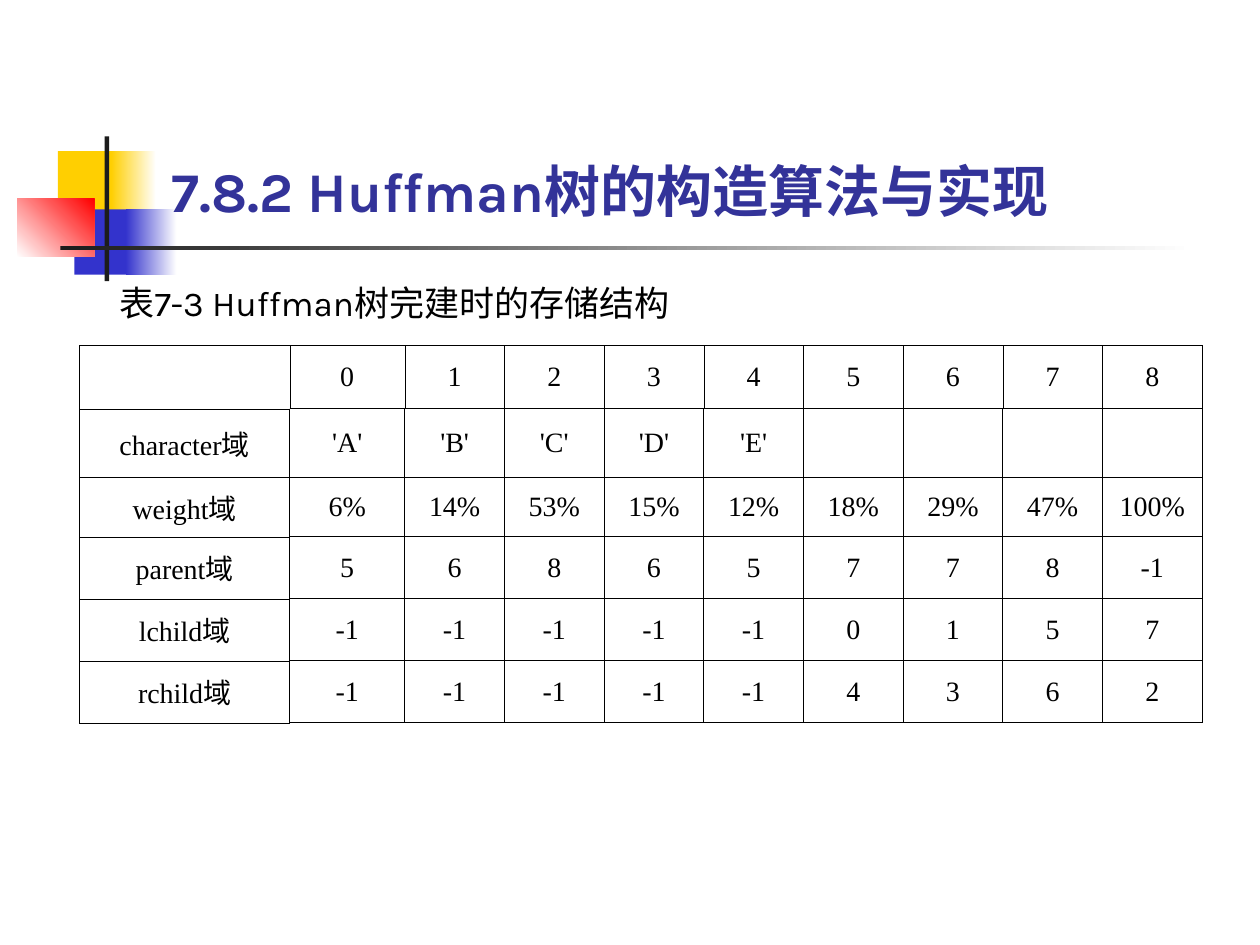
from dataclasses import dataclass
from typing import Optional

from lxml import etree
from pptx import Presentation
from pptx.dml.color import RGBColor
from pptx.enum import shapes, text
from pptx.oxml import ns
from pptx.util import Cm, Pt


@dataclass(frozen=True)
class Theme:
    yellow: str = "FFCF01"
    blue: str = "3333CC"
    red: str = "FF0000"
    dark: str = "1C1C1C"
    white: str = "FFFFFF"
    title: str = "333399"
    ink: str = "000000"
    heading_font: str = "Karla"
    table_font: str = "Times New Roman"
    title_size: int = 32
    caption_size: int = 20
    table_size: int = 16
    grid_line: float = 0.45
    label_line: float = 0.23


THEME = Theme()


@dataclass(frozen=True)
class Block:
    """A coloured rectangle, lengths in cm; end_color makes it a gradient."""
    left: float
    top: float
    width: float
    height: float
    color: str
    end_color: Optional[str] = None
    angle: float = 0


BLOCKS = [
    Block(1.17, 3.05, 1.22, 1.32, THEME.yellow),
    Block(2.24, 3.05, 0.91, 1.32, THEME.yellow, THEME.white),
    Block(1.5, 4.22, 1.17, 1.32, THEME.blue),
    Block(2.54, 4.22, 1.02, 1.32, THEME.blue, THEME.white),
    Block(0.35, 4.01, 1.55, 1.17, THEME.white, THEME.red, 45),
    Block(2.11, 2.75, 0.09, 2.92, THEME.dark),
    Block(1.22, 4.95, 22.86, 0.09, THEME.dark, THEME.white),
]

COLUMN_WIDTHS = [4.24, 2.32] + [2.01] * 8
ROW_HEIGHTS = [1.28, 1.39, 1.19] + [1.25] * 3
ROWS = [
    ["", *map(str, range(9))],
    ["character域", "'A'", "'B'", "'C'", "'D'", "'E'", "", "", "", ""],
    ["weight域", "6%", "14%", "53%", "15%", "12%", "18%", "29%", "47%", "100%"],
    ["parent域", "5", "6", "8", "6", "5", "7", "7", "8", "-1"],
    ["lchild域", "-1", "-1", "-1", "-1", "-1", "0", "1", "5", "7"],
    ["rchild域", "-1", "-1", "-1", "-1", "-1", "4", "3", "6", "2"],
]


def add_block(slide, block: Block) -> None:
    shape = slide.shapes.add_shape(
        shapes.MSO_SHAPE.RECTANGLE,
        Cm(block.left), Cm(block.top), Cm(block.width), Cm(block.height))
    shape.shadow.inherit = False
    shape.line.fill.background()
    if block.end_color is None:
        shape.fill.solid()
        shape.fill.fore_color.rgb = RGBColor.from_string(block.color)
        return
    shape.fill.gradient()
    shape.fill.gradient_angle = block.angle
    for stop, color in zip(shape.fill.gradient_stops, (block.color, block.end_color)):
        stop.color.rgb = RGBColor.from_string(color)


def add_run(paragraph, words: str, font: str, size: int, color: str,
            bold: bool = False) -> None:
    run = paragraph.add_run()
    run.text = words
    run.font.name = font
    run.font.size = Pt(size)
    run.font.bold = bold
    run.font.color.rgb = RGBColor.from_string(color)


def set_borders(cell, widths: dict[str, float]) -> None:
    properties = cell._tc.get_or_add_tcPr()
    for index, (side, width) in enumerate(widths.items()):
        line = etree.Element(ns.qn(f"a:ln{side}"), w=str(Pt(width)))
        fill = etree.SubElement(line, ns.qn("a:solidFill"))
        etree.SubElement(fill, ns.qn("a:srgbClr"), val=THEME.ink)
        properties.insert(index, line)


def border_widths(row: int, column: int) -> dict[str, float]:
    """Header and label cells are thin, except where they meet the values."""
    label = row == 0 or column == 0
    widths = dict.fromkeys("LRTB", THEME.label_line if label else THEME.grid_line)
    if row == 0 and column > 0:
        widths["B"] = THEME.grid_line
    if column == 0 and row > 0:
        widths["R"] = THEME.grid_line
    return widths


def add_storage_table(slide) -> None:
    table = slide.shapes.add_table(
        len(ROWS), len(COLUMN_WIDTHS), Cm(1.6), Cm(6.96),
        Cm(sum(COLUMN_WIDTHS)), Cm(sum(ROW_HEIGHTS))).table
    table.first_row = table.horz_banding = False
    for column, width in zip(table.columns, COLUMN_WIDTHS):
        column.width = Cm(width)
    for row, height in zip(table.rows, ROW_HEIGHTS):
        row.height = Cm(height)
    for row, values in enumerate(ROWS):
        for column, value in enumerate(values):
            cell = table.cell(row, column)
            cell.fill.background()
            cell.vertical_anchor = text.MSO_ANCHOR.MIDDLE
            set_borders(cell, border_widths(row, column))
            if value:
                paragraph = cell.text_frame.paragraphs[0]
                paragraph.alignment = text.PP_ALIGN.CENTER
                add_run(paragraph, value, THEME.table_font, THEME.table_size, THEME.ink)


def add_title(slide) -> None:
    title = slide.shapes.title
    title.left, title.top, title.width, title.height = Cm(3.2), Cm(0.58), Cm(21.64), Cm(4.06)
    slide.shapes.element.append(title.element)  # in front of the blocks
    frame = title.text_frame
    frame.auto_size = text.MSO_AUTO_SIZE.NONE
    frame.vertical_anchor = text.MSO_ANCHOR.BOTTOM
    paragraph = frame.paragraphs[0]
    paragraph.alignment = text.PP_ALIGN.LEFT
    add_run(paragraph, "7.8.2 Huffman树的构造算法与实现",
            THEME.heading_font, THEME.title_size, THEME.title, bold=True)


def add_caption(slide) -> None:
    frame = slide.shapes.add_textbox(Cm(2.16), Cm(5.54), Cm(15.65), Cm(1.12)).text_frame
    frame.word_wrap = True
    frame.auto_size = text.MSO_AUTO_SIZE.SHAPE_TO_FIT_TEXT
    frame.vertical_anchor = text.MSO_ANCHOR.MIDDLE
    add_run(frame.paragraphs[0], "表7-3 Huffman树完建时的存储结构",
            THEME.heading_font, THEME.caption_size, THEME.ink)


def main() -> None:
    presentation = Presentation()
    presentation.slide_width, presentation.slide_height = Cm(25.4), Cm(19.05)
    slide = presentation.slides.add_slide(
        presentation.slide_layouts.get_by_name("Title Only"))

    # Corner decoration and rule
    for block in BLOCKS:
        add_block(slide, block)

    # Content
    add_title(slide)
    add_storage_table(slide)
    add_caption(slide)

    presentation.save("out.pptx")


if __name__ == "__main__":
    main()
